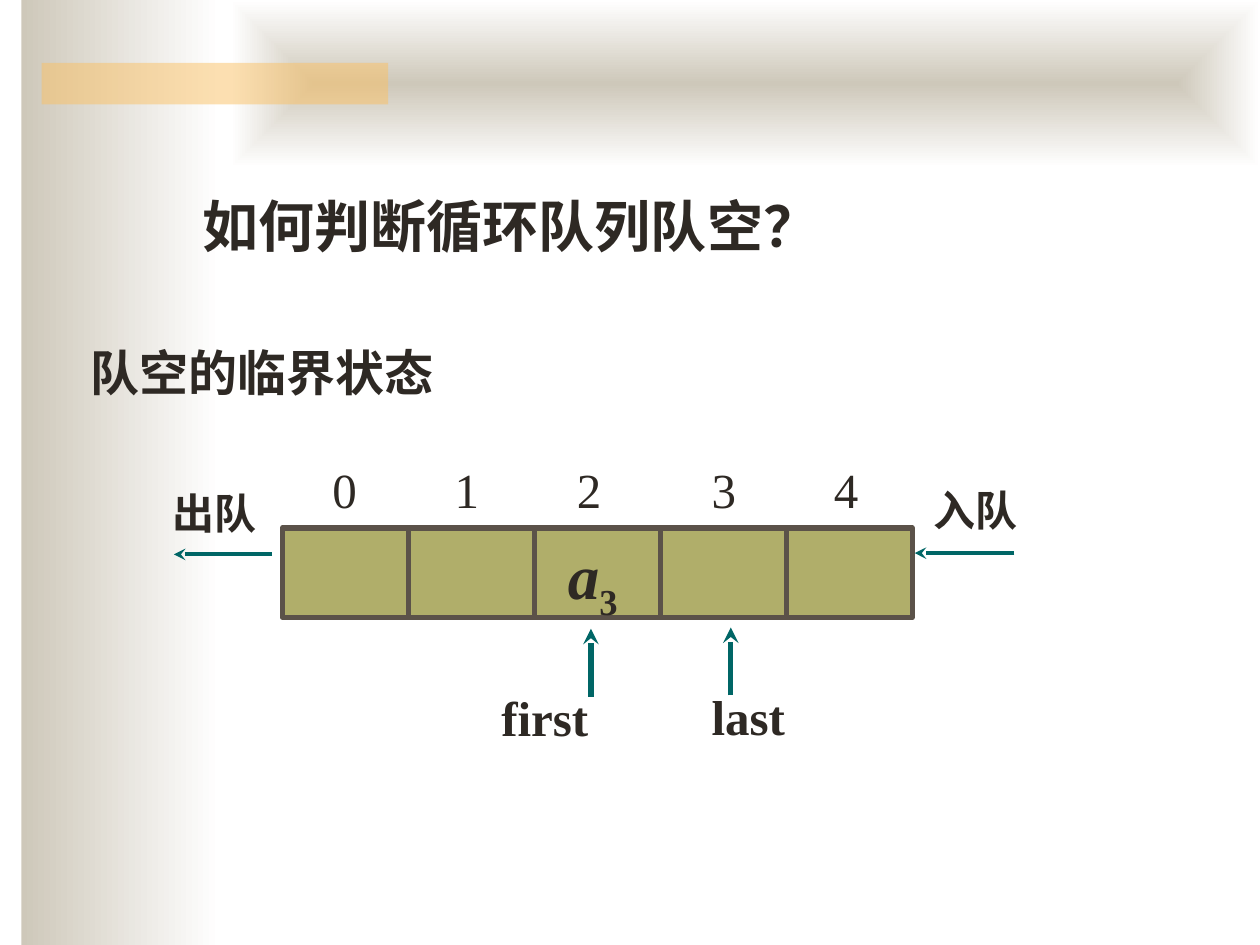
"""Build a slide on how to tell that a circular queue is empty."""
import lxml.etree
import pptx
import pptx.dml.color
import pptx.enum.shapes
import pptx.enum.text
import pptx.oxml.ns
import pptx.util

RGBColor = pptx.dml.color.RGBColor
INK = RGBColor(0x2E, 0x29, 0x24)
SAND = RGBColor(0xCE, 0xC8, 0xBA)
WHITE = RGBColor(0xFF, 0xFF, 0xFF)
AMBER = RGBColor(0xFA, 0xC1, 0x64)
OLIVE = RGBColor(0xB0, 0xAE, 0x6A)
BROWN = RGBColor(0x5B, 0x52, 0x49)
TEAL = RGBColor(0x00, 0x66, 0x66)

FONT = "Times New Roman"
COLUMNS, ROWS = 100, 75
CELL_LEFT, CELL_TOP, CELL_WIDTH, CELL_HEIGHT = 22.4, 41.9, 10, 7.1
CELL_COUNT = 5
INDEX_STOPS = (9.7, 19.4, 30.1, 39.8)


def add_child(parent, tag, **attributes):
    return lxml.etree.SubElement(parent, pptx.oxml.ns.qn(tag), attributes)


class QueueSlide:
    """Holds the style and the slide, with one method per kind of element."""

    def __init__(self, presentation):
        self.unit_x = presentation.slide_width / COLUMNS
        self.unit_y = presentation.slide_height / ROWS
        self.slide = presentation.slides.add_slide(presentation.slide_layouts[5])
        self.shapes = self.slide.shapes

    def x(self, columns):
        return pptx.util.Emu(round(columns * self.unit_x))

    def y(self, rows):
        return pptx.util.Emu(round(rows * self.unit_y))

    def box(self, left, top, width, height):
        return self.x(left), self.y(top), self.x(width), self.y(height)

    def rectangle(self, *box):
        shape = self.shapes.add_shape(
            pptx.enum.shapes.MSO_SHAPE.RECTANGLE, *self.box(*box))
        shape.shadow.inherit = False
        shape.line.fill.background()
        return shape

    def solid(self, *box, color, alpha=None):
        shape = self.rectangle(*box)
        shape.fill.solid()
        shape.fill.fore_color.rgb = color
        if alpha is not None:
            color_element = shape._element.spPr.find(".//" + pptx.oxml.ns.qn("a:srgbClr"))
            add_child(color_element, "a:alpha", val=str(alpha * 1000))
        return shape

    def gradient(self, *box, from_center=False):
        shape = self.rectangle(*box)
        shape.fill.gradient()
        shape.fill.gradient_angle = 0
        for stop, color, position in zip(shape.fill.gradient_stops, (SAND, WHITE), (0, 1)):
            stop.color.rgb = color
            stop.position = position
        if from_center:
            fill = shape._element.spPr.find(pptx.oxml.ns.qn("a:gradFill"))
            fill.remove(fill.find(pptx.oxml.ns.qn("a:lin")))
            shade = add_child(fill, "a:path", path="shape")
            add_child(shade, "a:fillToRect", l="50000", t="50000", r="50000", b="50000")

    def cell(self, index):
        shape = self.solid(CELL_LEFT + index * CELL_WIDTH, CELL_TOP,
                           CELL_WIDTH, CELL_HEIGHT, color=OLIVE)
        shape.line.color.rgb = BROWN
        shape.line.width = pptx.util.Pt(3)

    def format_text(self, shape, text, size, bold=True, stops=()):
        frame = shape.text_frame
        frame.word_wrap = True
        frame.auto_size = pptx.enum.text.MSO_AUTO_SIZE.NONE
        frame.vertical_anchor = pptx.enum.text.MSO_ANCHOR.TOP
        paragraph = frame.paragraphs[0]
        paragraph.text = text
        paragraph.alignment = pptx.enum.text.PP_ALIGN.LEFT
        if stops:
            tabs = add_child(paragraph._p.get_or_add_pPr(), "a:tabLst")
            for stop in stops:
                add_child(tabs, "a:tab", pos=str(self.x(stop)), algn="l")
        font = paragraph.font
        font.name, font.size, font.bold = FONT, pptx.util.Pt(size), bold
        font.color.rgb = INK
        return paragraph

    def title(self, text, *box, size):
        shape = self.shapes.title
        shape.left, shape.top, shape.width, shape.height = self.box(*box)
        self.format_text(shape, text, size)
        self.shapes._spTree.append(shape._element)

    def text(self, text, *box, **style):
        return self.format_text(self.shapes.add_textbox(*self.box(*box)), text, **style)

    def element(self, letter, subscript, *box, size):
        paragraph = self.text(letter, *box, size=size)
        paragraph.runs[0].font.italic = True
        run = paragraph.add_run()
        run.text = subscript
        run._r.get_or_add_rPr().set("baseline", "-25000")

    def arrow(self, start_x, start_y, end_x, end_y, width):
        connector = self.shapes.add_connector(
            pptx.enum.shapes.MSO_CONNECTOR.STRAIGHT,
            self.x(start_x), self.y(start_y), self.x(end_x), self.y(end_y))
        connector.line.color.rgb = TEAL
        connector.line.width = pptx.util.Pt(width)
        properties = connector._element.spPr
        add_child(properties.find(pptx.oxml.ns.qn("a:ln")), "a:tailEnd", type="stealth")
        add_child(properties, "a:effectLst")


def main():
    presentation = pptx.Presentation()
    presentation.slide_width = pptx.util.Inches(10)
    presentation.slide_height = pptx.util.Inches(7.5)
    page = QueueSlide(presentation)

    page.gradient(1.7, 0, 15.8, ROWS)
    page.gradient(18.3, 0, 81.7, 13.3, from_center=True)
    page.solid(3.3, 5, 27.5, 3.3, color=AMBER, alpha=50)
    page.title("如何判断循环队列队空？", 15.1, 14.7, 68.9, 6.4, size=32)
    page.text("队空的临界状态", 6.2, 26.7, 30, 5.7, size=28)

    for index in range(CELL_COUNT):
        page.cell(index)
    page.text("\t".join(str(index) for index in range(CELL_COUNT)),
              25.4, 36, 46.8, 5.7, size=28, bold=False, stops=INDEX_STOPS)
    page.element("a", "3", 44.1, 42.1, 6.4, 7, size=36)

    page.arrow(80.5, 43.9, 72.6, 43.9, width=2.25)
    page.text("入队", 73.1, 38, 10.8, 5, size=24)
    page.arrow(21.6, 44, 13.8, 44, width=2.25)
    page.text("出队", 12.7, 38.2, 10, 5, size=24)

    for label, arrow_x, arrow_top, left, width in (
            ("last", 58, 49.8, 55.5, 11.3), ("first", 46.9, 49.9, 38.8, 10.5)):
        page.arrow(arrow_x, arrow_top + 5.4, arrow_x, arrow_top, width=3)
        page.text(label, left, arrow_top + 4.2, width, 5.7, size=28)

    presentation.save("out.pptx")


if __name__ == "__main__":
    main()
